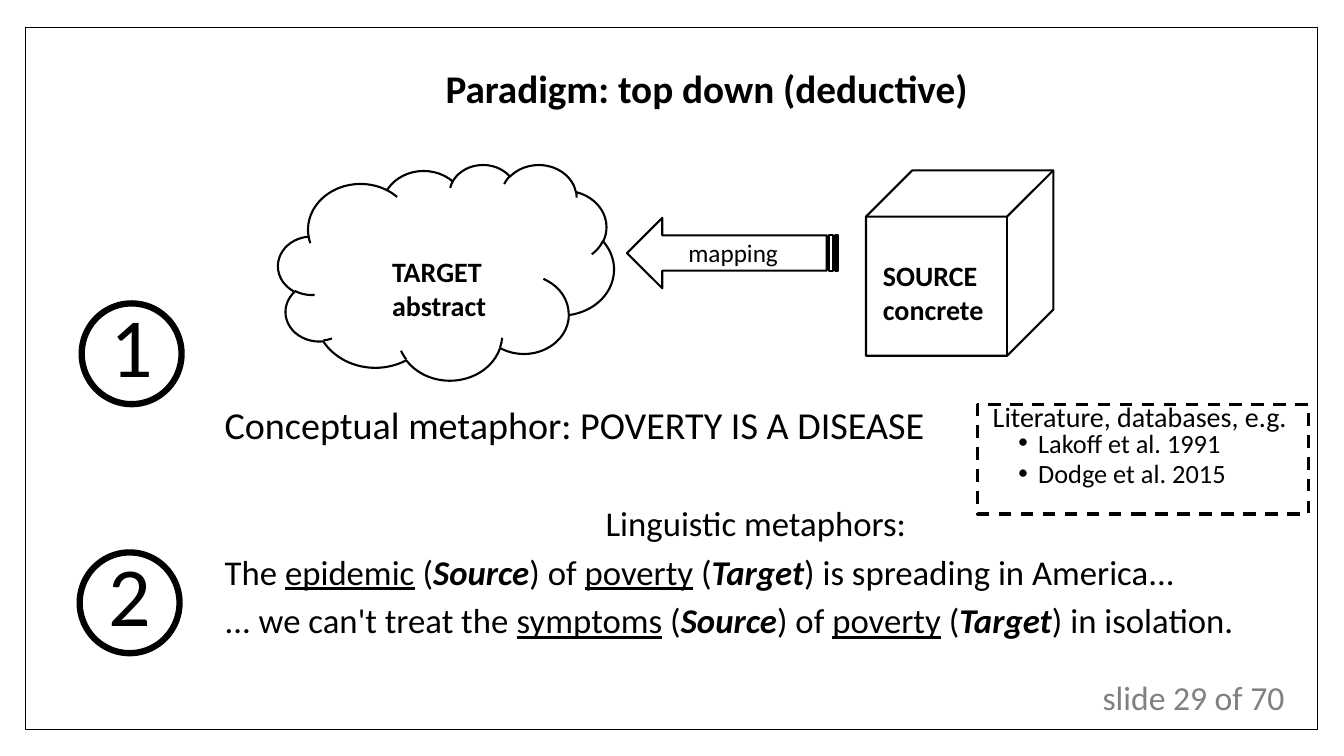
from lxml import etree
from pptx import Presentation
from pptx.dml.color import RGBColor
from pptx.enum.dml import MSO_LINE
from pptx.enum.shapes import MSO_SHAPE
from pptx.enum.text import MSO_ANCHOR, MSO_AUTO_SIZE, PP_ALIGN
from pptx.oxml.ns import qn
from pptx.util import Inches, Pt

RECTANGLE, OVAL = MSO_SHAPE.RECTANGLE, MSO_SHAPE.OVAL
CLOUD, CUBE = MSO_SHAPE.CLOUD, MSO_SHAPE.CUBE
STRIPED_ARROW = MSO_SHAPE.STRIPED_RIGHT_ARROW
DASH = MSO_LINE.DASH
TOP, NO_FIT = MSO_ANCHOR.TOP, MSO_AUTO_SIZE.NONE
LEFT, CENTER = PP_ALIGN.LEFT, PP_ALIGN.CENTER

WIDTH, HEIGHT = Inches(13.33), Inches(7.5)
FONT, BLACK, GREY, WHITE = "Calibri", "000000", "808080", "FFFFFF"
TITLE_ONLY = 5
LABEL_SIZE = (9.68, 10.27)
CIRCLE_SIZE = (7.43, 13.33)


def color(hex_value):
    return RGBColor.from_string(hex_value)


def box(left, top, width, height):
    """Turn percentages of the slide into lengths."""
    return (int(WIDTH * left / 100), int(HEIGHT * top / 100),
            int(WIDTH * width / 100), int(HEIGHT * height / 100))


def add_outline(slide, kind, area, weight=1.5, fill=None, dash=None):
    outline = slide.shapes.add_shape(kind, *box(*area))
    outline.shadow.inherit = False
    if fill:
        outline.fill.solid()
        outline.fill.fore_color.rgb = color(fill)
    else:
        outline.fill.background()
    outline.line.color.rgb = color(BLACK)
    outline.line.width = Pt(weight)
    if dash:
        outline.line.dash_style = dash
    return outline


def prepare_frame(shape):
    frame = shape.text_frame
    frame.word_wrap = True
    frame.auto_size = NO_FIT
    frame.vertical_anchor = TOP
    return frame


def add_paragraph(frame, parts, size, first=False, bold=False, ink=BLACK,
                  align=LEFT, spacing=None, before=0, after=0,
                  margin=0, indent=0, bullet=None):
    paragraph = frame.paragraphs[0] if first else frame.add_paragraph()
    paragraph.alignment = align
    paragraph.space_before = Pt(0 if first else before)
    paragraph.space_after = Pt(after)
    if spacing:
        paragraph.line_spacing = spacing
    properties = paragraph._p.get_or_add_pPr()
    properties.set("marL", str(Inches(margin)))
    properties.set("indent", str(Inches(indent)))
    if bullet:
        paragraph.level = 1
        bullet_color = etree.SubElement(properties, qn("a:buClr"))
        etree.SubElement(bullet_color, qn("a:srgbClr"), val=ink)
        etree.SubElement(properties, qn("a:buSzPct"), val="80000")
        etree.SubElement(properties, qn("a:buFont"), typeface=FONT)
        etree.SubElement(properties, qn("a:buChar"), char=bullet)
    font = paragraph.font
    font.name, font.size, font.bold = FONT, Pt(size), bold
    font.color.rgb = color(ink)
    for words, style in parts:
        run = paragraph.add_run()
        run.text = words
        if style == "word":
            run.font.underline = True
        elif style == "role":
            run.font.bold = run.font.italic = True


def add_lines(slide, area, lines, size, **style):
    frame = prepare_frame(slide.shapes.add_textbox(*box(*area)))
    for number, line in enumerate(lines):
        add_paragraph(frame, [(line, None)], size, first=number == 0, **style)


def add_title(slide):
    title = slide.shapes.title
    title.left, title.top, title.width, title.height = box(32.4, 7.87, 45.3, 7.6)
    add_paragraph(prepare_frame(title), [("Paradigm: top down (deductive)", None)],
                  28, first=True, bold=True)


def add_mapping(slide):
    add_outline(slide, CLOUD, (20.7, 21.73, 24.98, 28.53))
    add_lines(slide, (28.43, 33.07, *LABEL_SIZE), ["TARGET", "abstract"], 20, bold=True)
    add_outline(slide, CUBE, (64.43, 22.53, 13.95, 24.53))
    add_lines(slide, (64.95, 33.6, *LABEL_SIZE), ["SOURCE", "concrete"], 20, bold=True)
    arrow = add_outline(slide, STRIPED_ARROW, (46.65, 28.8, 15.68, 9.33))
    arrow.rotation = 180
    add_lines(slide, (50.48, 30.67, 8.63, 5.33), ["mapping"], 18)


def add_step(slide, number, left, top):
    add_outline(slide, OVAL, (left, top, *CIRCLE_SIZE), 4.5)
    add_lines(slide, (left + 1.43, top - 2, 4.28, 14.8), [number], 60)


def example(opening, source, closing):
    return [(opening, None), (source, "word"), (" (", None), ("Source", "role"),
            (") of ", None), ("poverty", "word"), (" (", None),
            ("Target", "role"), (closing, None)]


def add_linguistic_metaphors(slide):
    frame = prepare_frame(slide.shapes.add_textbox(*box(15.6, 67.2, 80.93, 23.2)))
    style = {"size": 24.8, "spacing": 0.7, "before": 14, "margin": 0.05}
    add_paragraph(frame, [("Linguistic metaphors:", None)],
                  first=True, align=CENTER, **style)
    add_paragraph(frame, example("The ", "epidemic", ") is spreading in America..."),
                  **style)
    add_paragraph(frame, example("... we can't treat the ", "symptoms",
                                 ") in isolation."), **style)


def add_literature(slide):
    literature = add_outline(slide, RECTANGLE, (72.75, 53.47, 24.6, 14.53),
                             2.25, dash=DASH)
    frame = prepare_frame(literature)
    add_paragraph(frame, [("Literature, databases, e.g.", None)], 20,
                  first=True, spacing=0.7, margin=0.05)
    for citation in ("Lakoff et al. 1991", "Dodge et al. 2015"):
        add_paragraph(frame, [(citation, None)], 18.8, spacing=0.7, before=2,
                      after=4, margin=0.5, indent=-0.2, bullet="•")


def main():
    deck = Presentation()
    deck.slide_width, deck.slide_height = WIDTH, HEIGHT
    slide = deck.slides.add_slide(deck.slide_layouts[TITLE_ONLY])
    frame = add_outline(slide, RECTANGLE, (1.88, 3.6, 96.15, 92.93), 1, fill=WHITE)
    slide.shapes.title._element.addprevious(frame._element)
    add_lines(slide, (81.3, 88.93, 16.58, 6.67), ["slide 29 of 70"], 24, ink=GREY)
    add_title(slide)
    add_mapping(slide)
    add_lines(slide, (15.6, 53.6, 62.1, 10.13),
              ["Conceptual metaphor: POVERTY IS A DISEASE"], 27.2,
              spacing=0.8, margin=0.05)
    add_linguistic_metaphors(slide)
    add_step(slide, "1", 6.08, 40.13)
    add_step(slide, "2", 5.93, 73.07)
    add_literature(slide)
    deck.save("out.pptx")


if __name__ == "__main__":
    main()
